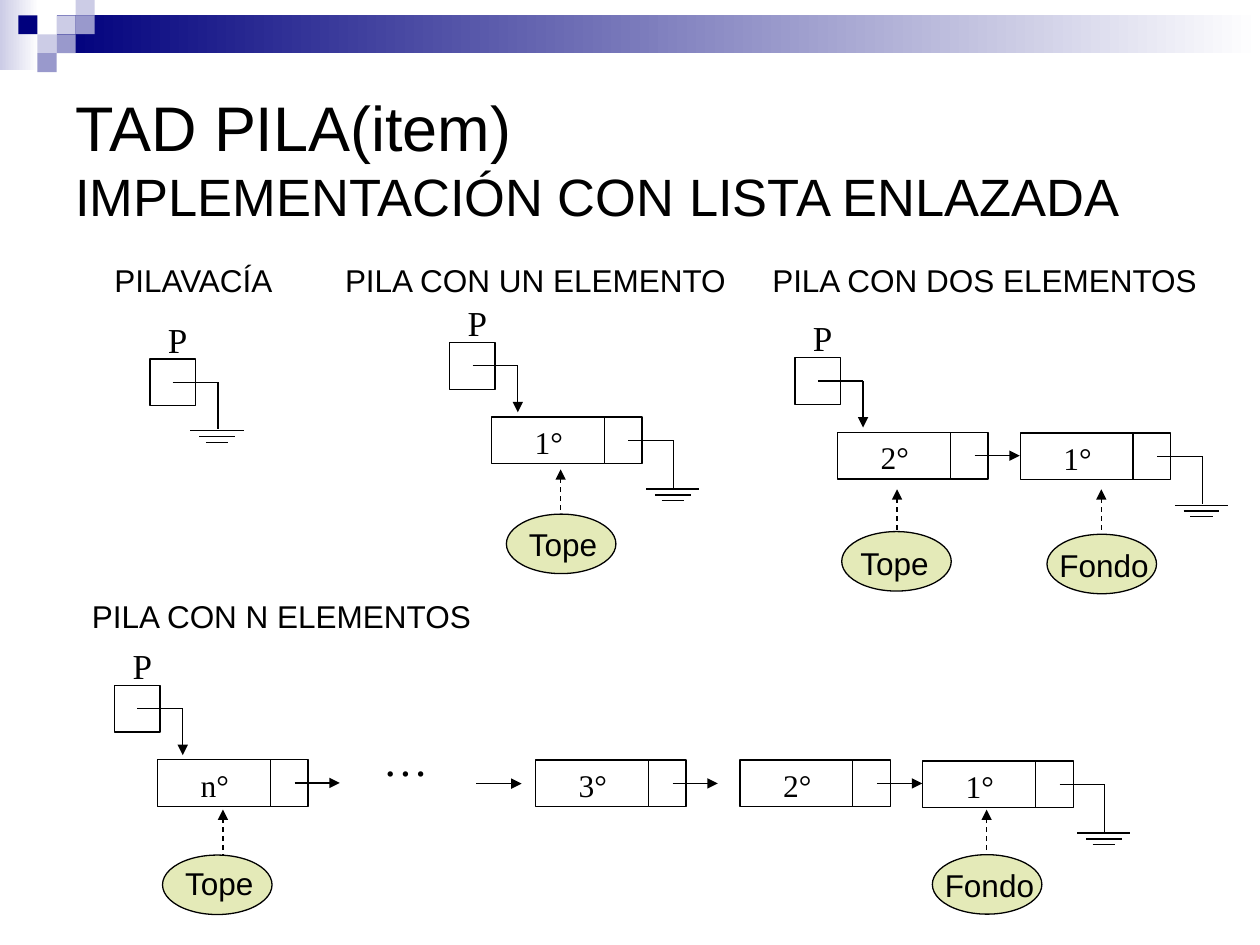
from dataclasses import dataclass

from lxml import etree
from pptx import Presentation
from pptx import util as u
from pptx.dml.color import RGBColor
from pptx.enum import dml, shapes as kinds, text as txt
from pptx.oxml import ns

Pt = u.Pt
BLACK, WHITE, GREEN = "000000", "FFFFFF", "E4EAB8"
NAVY, LILAC, VIOLET = "00007D", "CCCCE6", "9999CC"
SANS, SERIF = "Arial", "Times New Roman"
RECTANGLE, OVAL = kinds.MSO_SHAPE.RECTANGLE, kinds.MSO_SHAPE.OVAL
CELL_HEIGHT = 26.7
LINK = 25.9


@dataclass
class Caption:
    text: str
    x: float
    y: float
    width: float


@dataclass
class Node:
    text: str
    x: float
    y: float
    grounded: bool = False


@dataclass
class Tag:
    text: str
    x: float
    y: float
    text_dx: float
    text_dy: float
    text_width: float
    arrow_x: float
    arrow_y: float


@dataclass
class Stack:
    caption: Caption
    pointer: tuple[float, float]
    nodes: tuple[Node, ...] = ()
    tags: tuple[Tag, ...] = ()


STACKS = [
    Stack(Caption("PILAVACÍA", 58.3, 145.4, 107.3), (85.7, 205.2)),
    Stack(Caption("PILA CON UN ELEMENTO", 190.1, 145.4, 233.3), (257, 195.8),
          (Node("1°", 280.8, 238.3, True),),
          (Tag("Tope", 289.4, 293.8, 5.8, 2.9, 55.4, 320.4, 296.6),)),
    Stack(Caption("PILA CON DOS ELEMENTOS", 434.2, 145.4, 258.5), (454.3, 204.5),
          (Node("2°", 478.6, 247), Node("1°", 583, 247.5, True)),
          (Tag("Tope", 481, 303.8, 3.6, 3.6, 55.4, 512.6, 308),
           Tag("Fondo", 598.3, 305.3, 0, 2.9, 65.5, 629.3, 308))),
    Stack(Caption("PILA CON N ELEMENTOS", 45.4, 337.7, 232.6), (65.5, 391.7),
          (Node("n°", 90, 434), Node("3°", 306, 434.3),
           Node("2°", 422.8, 434.3), Node("1°", 527.2, 434.9, True)),
          (Tag("Tope", 92.9, 488.6, 5.8, 1.8, 55.4, 127.4, 491),
           Tag("Fondo", 532.8, 488.4, 0, 2.7, 65.5, 563.8, 491))),
]


def rgb(color: str) -> RGBColor:
    return RGBColor.from_string(color)


def add_block(shapes, kind, x: float, y: float, width: float, height: float,
              fill: str, outlined: bool = True):
    shape = shapes.add_shape(kind, Pt(x), Pt(y), Pt(width), Pt(height))
    shape.shadow.inherit = False
    shape.fill.solid()
    shape.fill.fore_color.rgb = rgb(fill)
    if outlined:
        shape.line.color.rgb = rgb(BLACK)
        shape.line.width = Pt(0.75)
    else:
        shape.line.fill.background()
    return shape


def add_line(shapes, x1: float, y1: float, x2: float, y2: float,
             arrow: bool = False, dashed: bool = False, weight: float = 0.75) -> None:
    connector = shapes.add_connector(kinds.MSO_CONNECTOR.STRAIGHT,
                                     Pt(x1), Pt(y1), Pt(x2), Pt(y2))
    connector.line.color.rgb = rgb(BLACK)
    connector.line.width = Pt(weight)
    if dashed:
        connector.line.dash_style = dml.MSO_LINE.DASH
    if arrow:
        outline = connector.line._get_or_add_ln()
        etree.SubElement(outline, ns.qn("a:tailEnd"), type="triangle")
    etree.SubElement(connector._element.spPr, ns.qn("a:effectLst"))


def add_text(shapes, content: str, x: float, y: float, width: float, height: float,
             size: float = 18, font: str = SANS, wrap: bool = True):
    """Add a one-paragraph text box and return its paragraph."""
    frame = shapes.add_textbox(Pt(x), Pt(y), Pt(width), Pt(height)).text_frame
    frame.word_wrap = wrap
    paragraph = frame.paragraphs[0]
    paragraph.text = content
    paragraph.font.size = Pt(size)
    paragraph.font.name = font
    paragraph.font.color.rgb = rgb(BLACK)
    return paragraph


def add_gradient_bar(shapes, x: float, y: float, width: float, height: float,
                     start: str) -> None:
    fill = add_block(shapes, RECTANGLE, x, y, width, height, start, False).fill
    fill.gradient()
    fill.gradient_angle = 0
    for stop, color in zip(fill.gradient_stops, (start, WHITE)):
        stop.color.rgb = rgb(color)


def draw_header(shapes) -> None:
    add_gradient_bar(shapes, 0, -2, 22.3, 42, LILAC)
    add_gradient_bar(shapes, 32.4, 8.7, 687.6, 21.6, NAVY)
    squares = [(2, 1, LILAC), (3, 0, LILAC), (3, 1, VIOLET), (1, 2, LILAC),
               (0, 1, NAVY), (2, 2, VIOLET), (1, 3, VIOLET)]
    for column, row, color in squares:
        add_block(shapes, RECTANGLE, 10.5 + 10.9 * column, -2 + 10.8 * row,
                  10.9, 10.8, color, False)


def draw_title(shapes) -> None:
    paragraph = add_text(shapes, "TAD PILA(item)", 36, 36, 648, 108, 36)
    paragraph.add_line_break()
    subtitle = paragraph.add_run()
    subtitle.text = "IMPLEMENTACIÓN CON LISTA ENLAZADA"
    subtitle.font.size = Pt(30)
    shapes[-1].text_frame.vertical_anchor = txt.MSO_ANCHOR.MIDDLE


def draw_ground(shapes, x: float, y: float, weight: float) -> None:
    """Draw a link from (x, y) that ends in the null symbol."""
    corner = x + LINK
    add_line(shapes, x, y, corner, y)
    add_line(shapes, corner, y, corner, y + 27, weight=weight)
    for step, width in enumerate((30.4, 20.4, 12.8)):
        bar_y = y + 27.8 + 3.3 * step
        left = corner - 0.6 - width / 2
        add_line(shapes, left, bar_y, left + width, bar_y)


def draw_pointer(shapes, x: float, y: float, empty: bool) -> None:
    add_block(shapes, RECTANGLE, x, y, 25.9, CELL_HEIGHT, WHITE)
    start_x, start_y = x + 13, y + 13.2
    if empty:
        draw_ground(shapes, start_x, start_y, 0.75)
    else:
        corner = start_x + LINK
        add_line(shapes, start_x, start_y, corner, start_y)
        add_line(shapes, corner, start_y, corner, start_y + 26.6, arrow=True)
    label = add_text(shapes, "P", x - 3.6, y - 27, 38.9, 40.3, 20, SERIF)
    label.alignment = txt.PP_ALIGN.CENTER


def draw_node(shapes, node: Node) -> None:
    add_block(shapes, RECTANGLE, node.x, node.y, 64.5, CELL_HEIGHT, WHITE)
    add_block(shapes, RECTANGLE, node.x + 64.5, node.y, 21.6, CELL_HEIGHT, WHITE)
    link_x, link_y = node.x + 78.3, node.y + 13.4
    if node.grounded:
        draw_ground(shapes, link_x, link_y, 0.5)
    else:
        add_line(shapes, link_x, link_y, link_x + LINK, link_y, arrow=True)
    add_text(shapes, node.text, node.x + 17.6, node.y, 38.9, 40.3, font=SERIF)


def draw_tag(shapes, tag: Tag) -> None:
    add_line(shapes, tag.arrow_x, tag.arrow_y, tag.arrow_x, tag.arrow_y - 28.4,
             arrow=True, dashed=True)
    add_block(shapes, OVAL, tag.x, tag.y, 62.6, 34, GREEN)
    add_text(shapes, tag.text, tag.x + tag.text_dx, tag.y + tag.text_dy,
             tag.text_width, 28.8, wrap=False)


def draw_stack(shapes, stack: Stack) -> None:
    caption = stack.caption
    add_text(shapes, caption.text, caption.x, caption.y, caption.width, 28.8, wrap=False)
    draw_pointer(shapes, *stack.pointer, empty=not stack.nodes)
    for node in stack.nodes:
        draw_node(shapes, node)
    for tag in stack.tags:
        draw_tag(shapes, tag)


def draw_gap(shapes) -> None:
    """Mark the nodes left out between the n-th and the third."""
    ellipsis = add_text(shapes, "…", 211.7, 417.6, 48.2, 40.3, 25.9, SERIF)
    ellipsis.line_spacing = 0.9
    add_line(shapes, 272.2, 447.8, 272.2 + LINK, 447.8, arrow=True)


def main() -> None:
    presentation = Presentation()
    presentation.slide_width, presentation.slide_height = Pt(720), Pt(540)
    slide = presentation.slides.add_slide(presentation.slide_layouts[6])
    draw_header(slide.shapes)
    draw_title(slide.shapes)
    for stack in STACKS:
        draw_stack(slide.shapes.add_group_shape().shapes, stack)
    draw_gap(slide.shapes)
    presentation.save("out.pptx")


if __name__ == "__main__":
    main()
